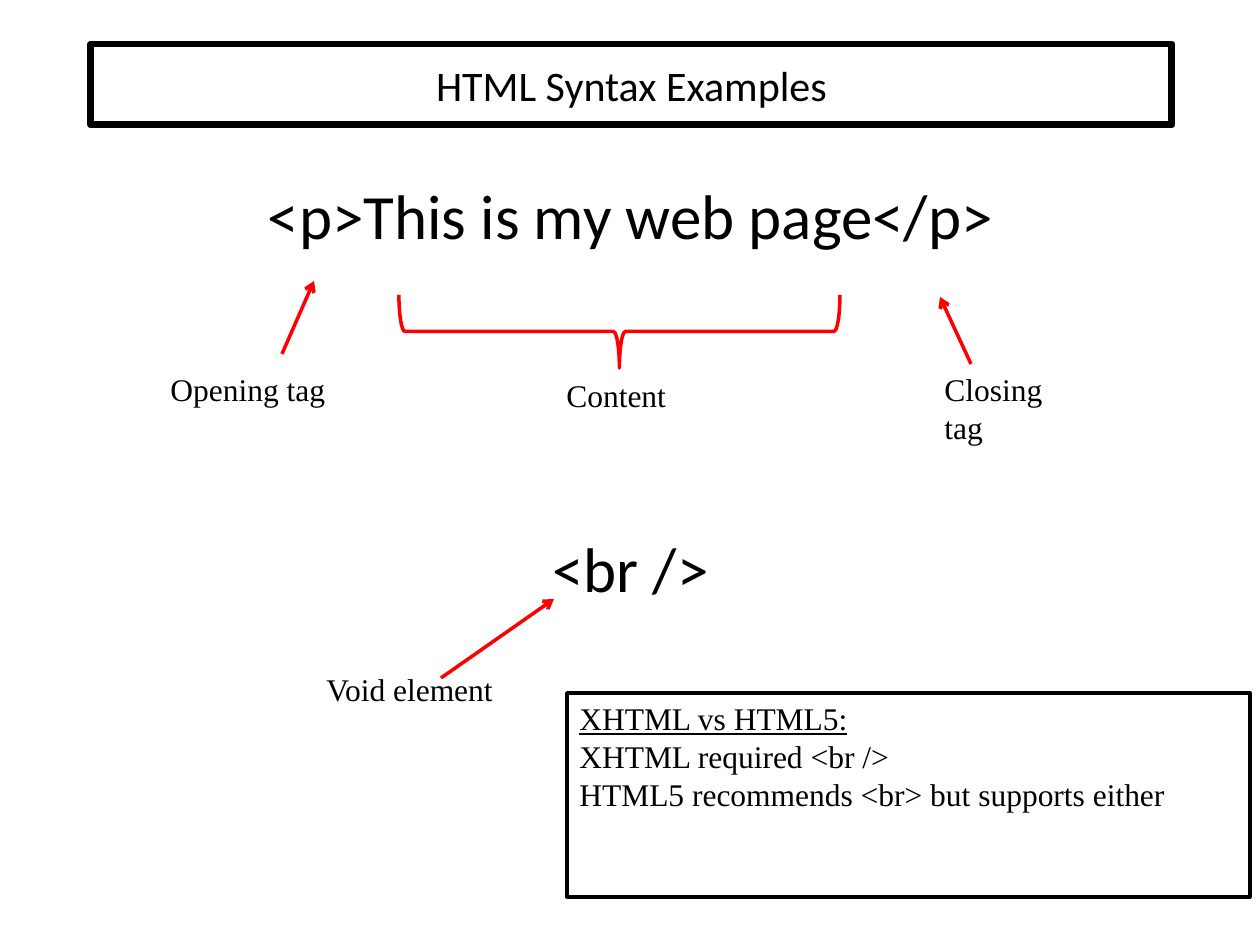
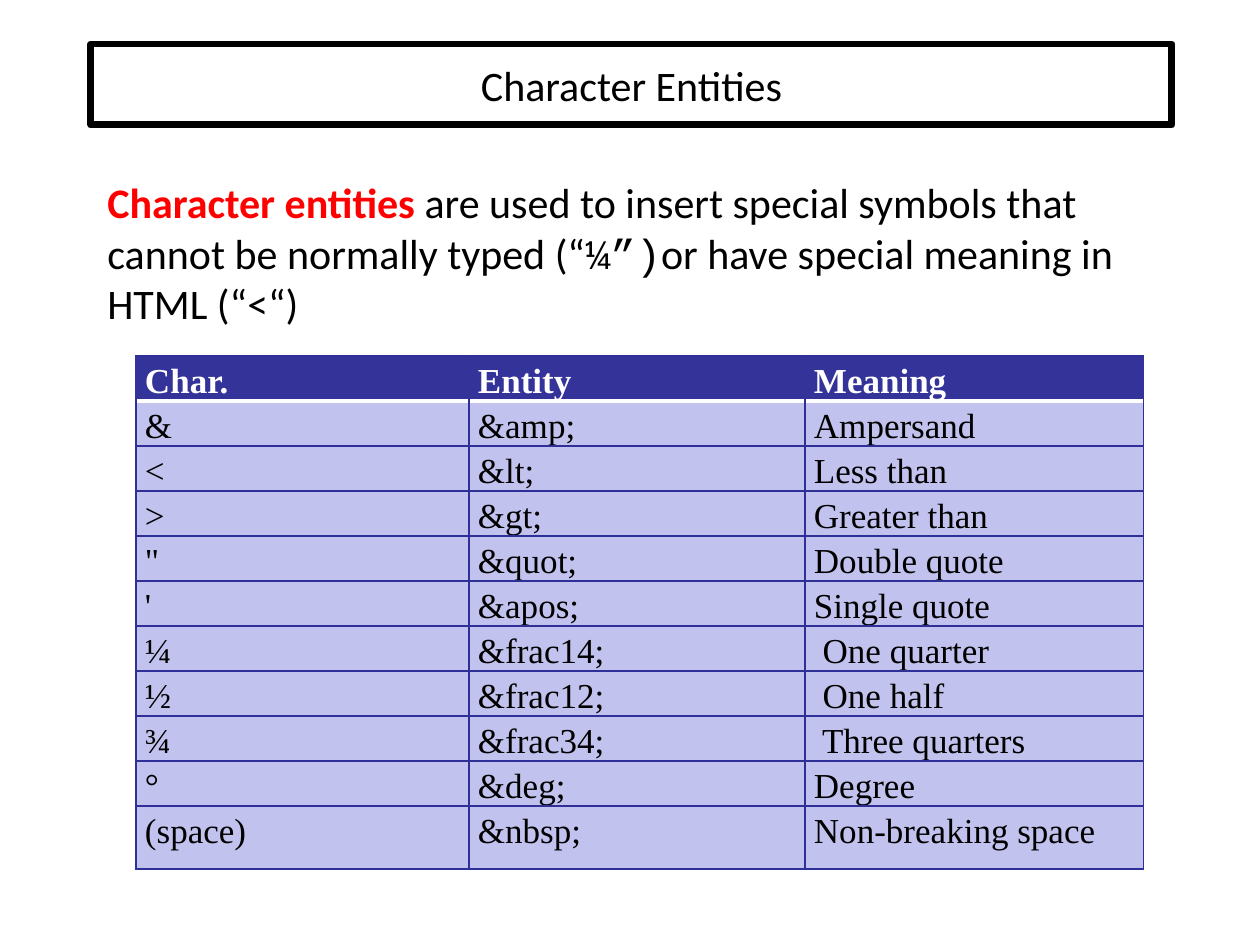
import lxml.etree
import pptx
import pptx.dml.color
import pptx.enum.shapes
import pptx.enum.text
import pptx.oxml.ns
import pptx.util

BLACK = pptx.dml.color.RGBColor(0x00, 0x00, 0x00)
WHITE = pptx.dml.color.RGBColor(0xFF, 0xFF, 0xFF)
RED = pptx.dml.color.RGBColor(0xFF, 0x00, 0x00)
HEADER_FILL = pptx.dml.color.RGBColor(0x33, 0x33, 0x99)
ROW_FILL = pptx.dml.color.RGBColor(0xC2, 0xC2, 0xEE)
GRID = pptx.dml.color.RGBColor(0x2F, 0x2F, 0x98)

LEFT = pptx.enum.text.PP_ALIGN.LEFT
CENTER = pptx.enum.text.PP_ALIGN.CENTER
TOP = pptx.enum.text.MSO_ANCHOR.TOP
MIDDLE = pptx.enum.text.MSO_ANCHOR.MIDDLE
SHAPES = pptx.enum.shapes.MSO_SHAPE

TITLE = {"name": "Calibri", "size": pptx.util.Pt(24)}
SYNTAX = {"name": "Calibri", "size": pptx.util.Pt(36)}
LABEL = {"name": "Times New Roman", "size": pptx.util.Pt(18)}
CELL = {"name": "Times New Roman", "size": pptx.util.Pt(20)}

ENTITIES = [
    ("Char.", "Entity", "Meaning"),
    ("&", "&amp;", "Ampersand"),
    ("<", "&lt;", "Less than"),
    (">", "&gt;", "Greater than"),
    ('"', "&quot;", "Double quote"),
    ("'", "&apos;", "Single quote"),
    ("¼", "&frac14;", " One quarter"),
    ("½", "&frac12;", " One half"),
    ("¾", "&frac34;", " Three quarters"),
    ("°", "&deg;", "Degree"),
    ("(space)", "&nbsp;", "Non-breaking space"),
]


def px(length):
    return pptx.util.Emu(round(length * 914400 / 126))


def apply(target, values):
    for key, value in values.items():
        setattr(target, key, value)


def add_child(parent, tag, **attributes):
    return lxml.etree.SubElement(parent, pptx.oxml.ns.qn(tag), attributes)


class Deck:
    def __init__(self):
        self.presentation = pptx.Presentation()
        apply(self.presentation, {"slide_width": px(1260), "slide_height": px(945)})
        self.slide = None

    def start_slide(self, heading):
        layout = self.presentation.slide_layouts[5]
        self.slide = self.presentation.slides.add_slide(layout)
        title = self.slide.shapes.title
        apply(title, {"left": px(91), "top": px(44), "width": px(1081), "height": px(81)})
        title.fill.solid()
        title.fill.fore_color.rgb = WHITE
        self.outline(title.line, BLACK, 4)
        self.fill_text(title.text_frame, [[(heading, {})]], TITLE, CENTER, MIDDLE)

    def outline(self, line, color, points):
        line.color.rgb = color
        line.width = pptx.util.Pt(points)

    def fill_text(self, frame, paragraphs, style, align=LEFT, anchor=TOP):
        apply(frame, {
            "word_wrap": True,
            "auto_size": pptx.enum.text.MSO_AUTO_SIZE.NONE,
            "vertical_anchor": anchor,
        })
        for index, pieces in enumerate(paragraphs):
            paragraph = frame.add_paragraph() if index else frame.paragraphs[0]
            paragraph.alignment = align
            self.add_runs(paragraph, pieces, style)

    def add_runs(self, paragraph, pieces, style):
        for words, changes in pieces:
            run = paragraph.add_run()
            run.text = words
            values = {"color": BLACK, **style, **changes}
            run.font.color.rgb = values.pop("color")
            apply(run.font, values)

    def text(self, box, paragraphs, style, align=LEFT):
        frame = self.slide.shapes.add_textbox(*map(px, box)).text_frame
        self.fill_text(frame, paragraphs, style, align)
        return frame

    def body(self, paragraphs, style, align=LEFT):
        frame = self.text((95, 168, 1071, 567), paragraphs, style, align)
        frame.margin_top = px(9)
        return frame

    def label(self, words, left, top, width):
        self.text((left, top, width, 50), [[(words, {})]], LABEL)

    def arrow(self, start, end):
        straight = pptx.enum.shapes.MSO_CONNECTOR.STRAIGHT
        arrow = self.slide.shapes.add_connector(straight, *map(px, start + end))
        self.outline(arrow.line, RED, 2)
        properties = arrow._element.spPr
        add_child(properties.find(pptx.oxml.ns.qn("a:ln")), "a:tailEnd", type="arrow")
        add_child(properties, "a:effectLst")

    def shape(self, kind, box, color, rotation=0):
        shape = self.slide.shapes.add_shape(kind, *map(px, box))
        shape.shadow.inherit = False
        shape.rotation = rotation
        shape.fill.background()
        self.outline(shape.line, color, 2)
        return shape

    def border(self, cell, side, color, points):
        width = str(int(pptx.util.Pt(points)))
        line = add_child(cell._tc.get_or_add_tcPr(), "a:ln" + side, w=width)
        add_child(add_child(line, "a:solidFill"), "a:srgbClr", val=str(color))

    def cell_borders(self, cell, row):
        for side in "LRTB":
            under_header = (row, side) in ((0, "B"), (1, "T"))
            if row == 0 and side in "LR":
                self.border(cell, side, HEADER_FILL, 0.75)
            elif under_header:
                self.border(cell, side, WHITE, 2)
            else:
                self.border(cell, side, GRID, 0.75)

    def table(self, left, top, widths, heights, rows):
        table = self.slide.shapes.add_table(
            len(rows), len(widths), px(left), px(top), px(sum(widths)), px(sum(heights))
        ).table
        apply(table, {"first_row": False, "horz_banding": False})
        for column, width in zip(table.columns, widths):
            column.width = px(width)
        for row, (line, height) in enumerate(zip(rows, heights)):
            table.rows[row].height = px(height)
            for column, words in enumerate(line):
                self.fill_cell(table.cell(row, column), row, words)

    def fill_cell(self, cell, row, words):
        header = row == 0
        self.cell_borders(cell, row)
        cell.fill.solid()
        cell.fill.fore_color.rgb = HEADER_FILL if header else ROW_FILL
        apply(cell, {"margin_left": px(9), "margin_right": px(9), "margin_top": 0, "margin_bottom": 0})
        paragraph = cell.text_frame.paragraphs[0]
        paragraph.line_spacing = 1.15
        changes = {"bold": header, "color": WHITE if header else BLACK}
        self.add_runs(paragraph, [(words, changes)], CELL)


def syntax_slide(deck):
    deck.start_slide("HTML Syntax Examples")
    examples = deck.body(
        [[("<p>This is my web page</p>", {})], [("<br />", {})]], SYNTAX, CENTER
    )
    examples.paragraphs[1].space_before = pptx.util.Pt(158)

    deck.arrow((282, 354), (314, 281))
    deck.label("Opening tag", 158, 364, 183)
    deck.arrow((971, 364), (940, 297))
    deck.label("Closing tag", 932, 364, 166)
    deck.shape(SHAPES.LEFT_BRACE, (583, 111, 73, 441), RED, 270)
    deck.label("Content", 554, 370, 129)
    deck.arrow((441, 678), (554, 599))
    deck.label("Void element", 314, 664, 198)

    comparison = deck.shape(SHAPES.RECTANGLE, (567, 693, 683, 204), BLACK)
    deck.fill_text(comparison.text_frame, [
        [("XHTML vs HTML5:", {"underline": True})],
        [("XHTML required <br />", {})],
        [("HTML5 recommends <br> but supports either", {})],
    ], LABEL)


def entities_slide(deck):
    deck.start_slide("Character Entities")
    deck.body([[
        ("Character entities ", {"bold": True, "color": RED}),
        ("are used to insert special symbols that cannot be normally typed (“", {}),
        ("¼”)", {"name": "Courier New"}),
        ("or have special meaning in HTML (“<“)", {}),
    ]], TITLE)
    heights = [45] * (len(ENTITIES) - 1) + [63]
    deck.table(136, 356, (333, 336, 339), heights, ENTITIES)


def main():
    deck = Deck()
    syntax_slide(deck)
    entities_slide(deck)
    deck.presentation.save("out.pptx")


if __name__ == "__main__":
    main()
